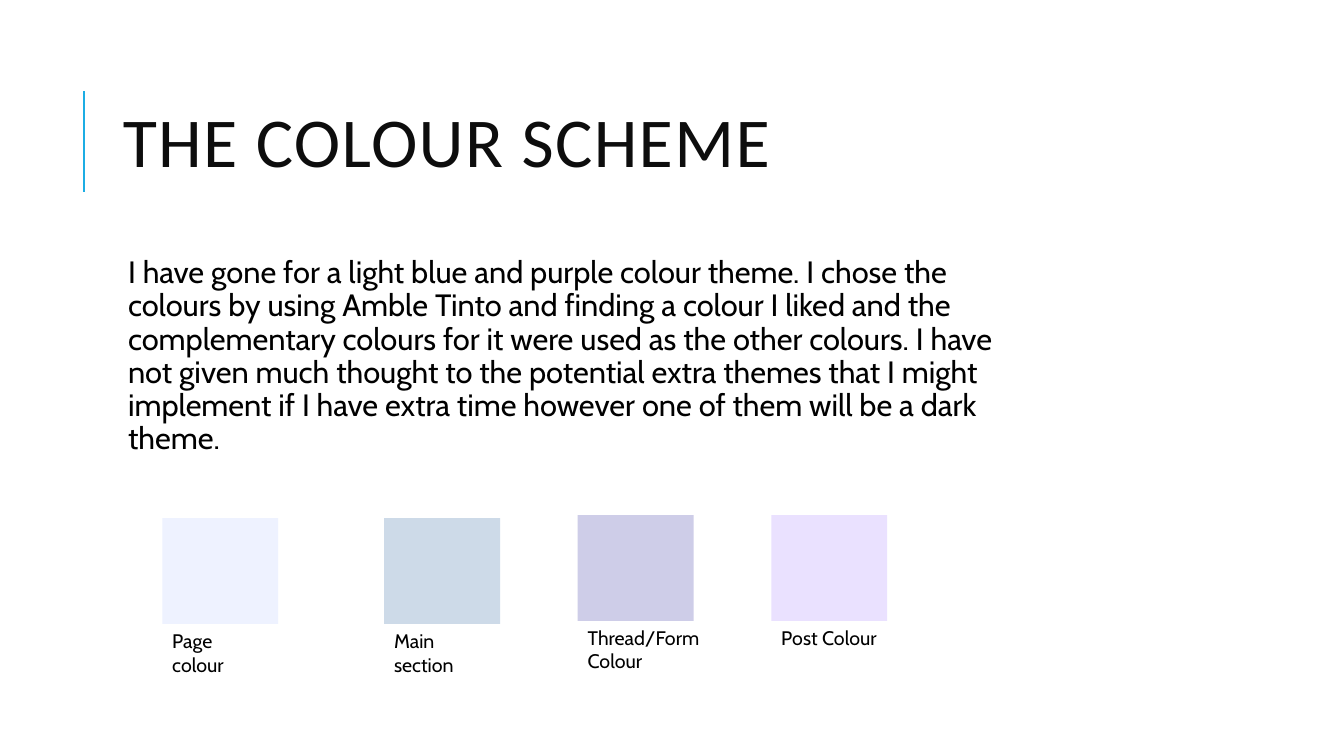
from lxml.etree import SubElement as Sub
from pptx import Presentation
from pptx.dml.color import RGBColor as RGB
from pptx.enum.shapes import MSO_CONNECTOR as Conn, MSO_SHAPE as Form
from pptx.enum.text import MSO_ANCHOR as Anchor
from pptx.oxml.ns import qn
from pptx.util import Inches, Pt

HUES = {
    "accent": "1CADE4", "title": "0D0D0D", "text": "000000",
    "page": "EEF2FF", "main": "CDDAE8", "thread": "CECDE8", "post": "EAE1FF",
}
THEME = (
    "I have gone for a light blue and purple colour theme. I chose the colours "
    "by using Amble Tinto and finding a colour I liked and the complementary "
    "colours for it were used as the other colours. I have not given much thought "
    "to the potential extra themes that I might implement if I have extra time "
    "however one of them will be a dark theme."
)
SWATCHES = [
    ("page", "Page colour", 1.61, 5.14, 1.15),
    ("main", "Main section", 3.81, 5.14, 1.15),
    ("thread", "Thread/Form Colour", 5.73, 5.11, 1.41),
    ("post", "Post Colour", 7.65, 5.11, 1.15),
]


def hue(key):
    """Return the named colour."""
    return RGB.from_string(HUES[key])


def put(obj, **vals):
    """Set each given format value on an object."""
    for name, val in vals.items():
        setattr(obj, name, val)


def write(slide, box, text, font, size, tint="text", frame=None, para=None):
    """Place a wrapped text box and return its run."""
    body = slide.shapes.add_textbox(*map(Inches, box)).text_frame
    put(body, word_wrap=True, **(frame or {}))
    line = body.paragraphs[0]
    put(line, **(para or {}))
    run = line.add_run()
    run.text = text
    put(run.font, name=font, size=Pt(size))
    run.font.color.rgb = hue(tint)
    return run


def head(slide, left, top, width, height):
    """Draw the title with the accent rule on its left."""
    run = write(slide, (left, top, width, height), "THE COLOUR SCHEME", "Calibri",
                50, "title", {"vertical_anchor": Anchor.MIDDLE}, {"line_spacing": 0.8})
    run._r.get_or_add_rPr().set("spc", "100")
    x = Inches(left - 0.29)
    rule = slide.shapes.add_connector(
        Conn.STRAIGHT, x, Inches(top + 1.26), x, Inches(top + 0.26))
    rule.line.width = Pt(1.5)
    rule.line.color.rgb = hue("accent")
    Sub(rule._element.spPr, qn("a:effectLst"))


def story(slide, left, top, width, height):
    """Write the paragraph on the choice of colours."""
    edge = Inches(0.05)
    frame = {"margin_left": Inches(0.15), "margin_top": edge,
             "margin_right": edge, "margin_bottom": edge}
    para = {"line_spacing": 0.9, "space_before": Pt(12), "space_after": Pt(2)}
    write(slide, (left, top, width, height), THEME, "Cabin", 22,
          frame=frame, para=para)


def swatch(slide, key, label, left, top, width):
    """Draw one colour sample with its label below."""
    wide, high = 1.15, 1.05
    tile = slide.shapes.add_shape(
        Form.RECTANGLE, *map(Inches, (left, top, wide, high)))
    tile.shadow.inherit = False
    tile.fill.solid()
    tile.fill.fore_color.rgb = hue(key)
    tile.line.fill.background()
    write(slide, (left, top + high, width, 0.57), label, "Cabin", 14)


def main():
    """Build and save the slide."""
    deck = Presentation()
    put(deck, slide_width=Inches(13.33), slide_height=Inches(7.5))
    slide = deck.slides.add_slide(deck.slide_layouts[6])
    head(slide, 1.12, 0.64, 10.63, 1.64)
    story(slide, 1.12, 2.5, 9.19, 4.4)
    for item in SWATCHES:
        swatch(slide, *item)
    deck.save("out.pptx")


if __name__ == "__main__":
    main()
